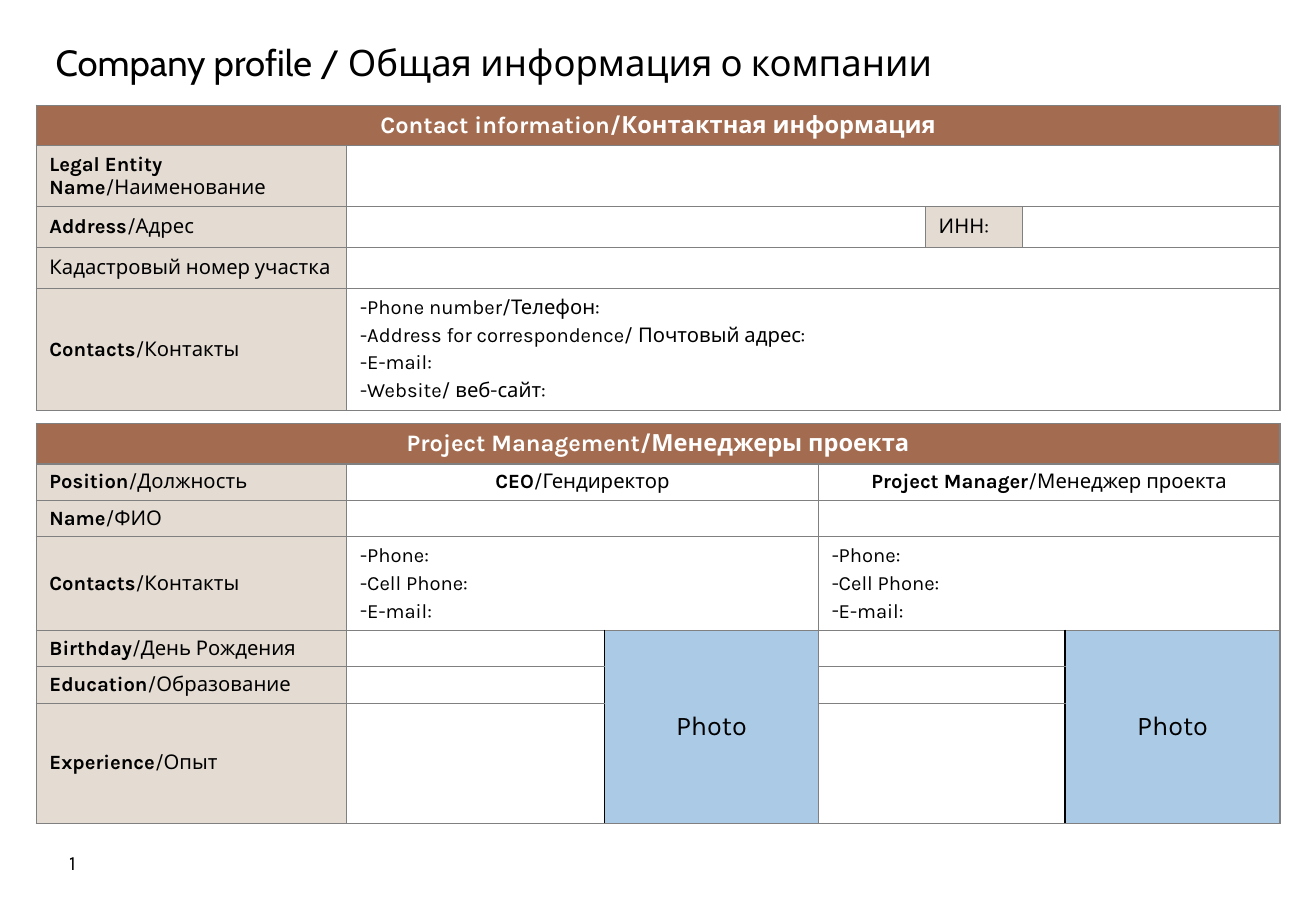
from dataclasses import dataclass
from typing import Any

import lxml.etree
import pptx
import pptx.dml.color
import pptx.enum.text
import pptx.oxml.ns
import pptx.text.text
import pptx.util

WIDTH, HEIGHT = 10.83, 7.5
BROWN, BEIGE, BLUE, WHITE = "A36B4F", "E4DCD3", "AACAE6", "FFFFFF"
BLACK, GREY = "000000", "808080"
LEFT = 2.74  # shares of the slide are in percent
CENTER = pptx.enum.text.PP_ALIGN.CENTER
MIDDLE = pptx.enum.text.MSO_ANCHOR.MIDDLE


@dataclass
class Entry:
    row: int
    col: int
    bold: str = ""
    plain: str = ""
    items: tuple[str, ...] = ()
    span: tuple[int, int] = (1, 1)
    fill: str = WHITE
    color: str = BLACK
    size: float = 12
    centred: bool = False


@dataclass
class Form:
    top: float
    cols: list[float]
    rows: list[float]
    entries: list[Entry]
    photo_row: int | None = None


def across(share: float) -> int:
    return pptx.util.Inches(WIDTH * share / 100)


def down(share: float) -> int:
    return pptx.util.Inches(HEIGHT * share / 100)


def rgb(color: str) -> pptx.dml.color.RGBColor:
    return pptx.dml.color.RGBColor.from_string(color)


def style(font: Any, size: float, color: str = BLACK, name: str = "Karla", bold: bool = False) -> None:
    for key, value in {"size": pptx.util.Pt(size), "name": name, "bold": bold}.items():
        setattr(font, key, value)
    font.color.rgb = rgb(color)


def add_run(p: Any, text: str, size: float, **look: Any) -> None:
    r = p.add_run()
    r.text = text
    style(r.font, size, **look)


def add_text(s: Any, box: tuple[float, float, float, float], text: str, size: float,
             name: str = "Karla", centred: bool = False) -> None:
    x, y, w, h = box
    tf = s.shapes.add_textbox(across(x), down(y), across(w), down(h)).text_frame
    tf.word_wrap, tf.vertical_anchor = True, MIDDLE
    p = tf.paragraphs[0]
    if centred:
        p.alignment = CENTER
    add_run(p, text, size, name=name)


def set_borders(cell: Any, black_side: str) -> None:
    """Draw grey borders, except for one black side (L, R or none)."""
    tag = pptx.oxml.ns.qn
    tc_pr = cell._tc.get_or_add_tcPr()
    for side in "LRTB":
        color, width = (BLACK, 1) if side == black_side else (GREY, 0.75)
        ln = lxml.etree.SubElement(tc_pr, tag(f"a:ln{side}"), w=str(pptx.util.Pt(width)))
        fill = lxml.etree.SubElement(ln, tag("a:solidFill"))
        lxml.etree.SubElement(fill, tag("a:srgbClr"), val=color)


def prepare_cell(cell: Any, black_side: str) -> None:
    """Give an empty cell its borders, margins, fill and text height."""
    set_borders(cell, black_side)
    formats = {"margin_left": 0.11, "margin_right": 0.11, "margin_top": 0.05, "margin_bottom": 0.05}
    for key, value in formats.items():
        setattr(cell, key, pptx.util.Inches(value))
    cell.vertical_anchor = MIDDLE
    cell.fill.solid()
    cell.fill.fore_color.rgb = rgb(WHITE)
    end = cell.text_frame.paragraphs[0]._p.get_or_add_endParaRPr()
    style(pptx.text.text.Font(end), 12)


def add_dash(p: Any) -> None:
    p_pr = p._p.get_or_add_pPr()
    p_pr.set("marL", "0")
    p_pr.set("indent", "0")
    lxml.etree.SubElement(p_pr, pptx.oxml.ns.qn("a:buFont"), typeface="Karla")
    lxml.etree.SubElement(p_pr, pptx.oxml.ns.qn("a:buChar"), char="-")


def fill_cell(cell: Any, entry: Entry) -> None:
    cell.fill.fore_color.rgb = rgb(entry.fill)
    tf = cell.text_frame
    p = tf.paragraphs[0]
    if entry.centred:
        p.alignment = CENTER
    for text, bold in ((entry.bold, True), (entry.plain, False)):
        if text:
            add_run(p, text, entry.size, color=entry.color, bold=bold)
    for i, item in enumerate(entry.items):
        if i:
            p = tf.add_paragraph()
            p.space_before = pptx.util.Pt(0.2 * entry.size)
        add_dash(p)
        add_run(p, item, entry.size, color=entry.color)


def add_form(s: Any, form: Form) -> None:
    frame = s.shapes.add_table(len(form.rows), len(form.cols), across(LEFT), down(form.top),
                               across(sum(form.cols)), down(sum(form.rows)))
    table = frame.table
    table.first_row = table.horz_banding = False
    for col, share in zip(table.columns, form.cols):
        col.width = across(share)
    for row, share in zip(table.rows, form.rows):
        row.height = down(share)
    for i in range(len(form.rows)):
        for j in range(len(form.cols)):
            beside_photo = form.photo_row is not None and i >= form.photo_row and j > 0
            prepare_cell(table.cell(i, j), "LR"[j % 2] if beside_photo else "")
    for entry in form.entries:
        cell = table.cell(entry.row, entry.col)
        if entry.span != (1, 1):
            cell.merge(table.cell(entry.row + entry.span[0] - 1, entry.col + entry.span[1] - 1))
        fill_cell(cell, entry)


def heading(text: str, cols: int) -> Entry:
    return Entry(0, 0, text, span=(1, cols), fill=BROWN, color=WHITE, size=14, centred=True)


def labels(*texts: tuple[str, str]) -> list[Entry]:
    return [Entry(i, 0, bold, plain, fill=BEIGE) for i, (bold, plain) in enumerate(texts, 1)]


CONTACTS = ("Contacts", "/Контакты")
PERSON_ITEMS = ("Phone:", "Cell Phone:", "E-mail:")
COMPANY_ITEMS = ("Phone number/Телефон:", "Address for correspondence/ Почтовый адрес:",
                 "E-mail:", "Website/ веб-сайт:")
PEOPLE = {1: ("CEO", "/Гендиректор"), 3: ("Project Manager", "/Менеджер проекта")}

COMPANY = Form(11.55, [23.62, 43.96, 7.37, 19.58], [4.38, 6.58, 4.5, 4.5, 13.05], [
    heading("Contact information/Контактная информация", 4),
    *labels(("Legal Entity Name", "/Наименование"), ("Address", "/Адрес"),
            ("", "Кадастровый номер участка"), CONTACTS),
    Entry(1, 1, span=(1, 3)),
    Entry(2, 2, plain="ИНН:", fill=BEIGE),
    Entry(3, 1, span=(1, 3)),
    Entry(4, 1, items=COMPANY_ITEMS, span=(1, 3)),
])

MANAGERS = Form(46.48, [23.62, 19.58, 16.25, 18.74, 16.34], [4.38, 3.94, 3.94, 9.98, 3.94, 3.94, 13.18], [
    heading("Project Management/Менеджеры проекта", 5),
    *labels(("Position", "/Должность"), ("Name", "/ФИО"), CONTACTS,
            ("Birthday", "/День Рождения"), ("Education", "/Образование"), ("Experience", "/Опыт")),
    *(entry for col, (bold, plain) in PEOPLE.items() for entry in (
        Entry(1, col, bold, plain, span=(1, 2), centred=True),
        Entry(2, col, span=(1, 2)),
        Entry(3, col, items=PERSON_ITEMS, span=(1, 2)),
        Entry(4, col + 1, plain="Photo", span=(3, 1), fill=BLUE, size=16, centred=True),
    )),
], photo_row=4)


def main() -> None:
    prs = pptx.Presentation()
    prs.slide_width, prs.slide_height = across(100), down(100)
    s = prs.slides.add_slide(prs.slide_layouts[6])
    add_text(s, (3.32, 3.77, 92.43, 6.13), "Company profile / Общая информация о компании", 21.6, "Cabin")
    add_text(s, (LEFT, 92, 5.54, 5.33), "1", 12, centred=True)
    for form in (COMPANY, MANAGERS):
        add_form(s, form)
    prs.save("out.pptx")


if __name__ == "__main__":
    main()
